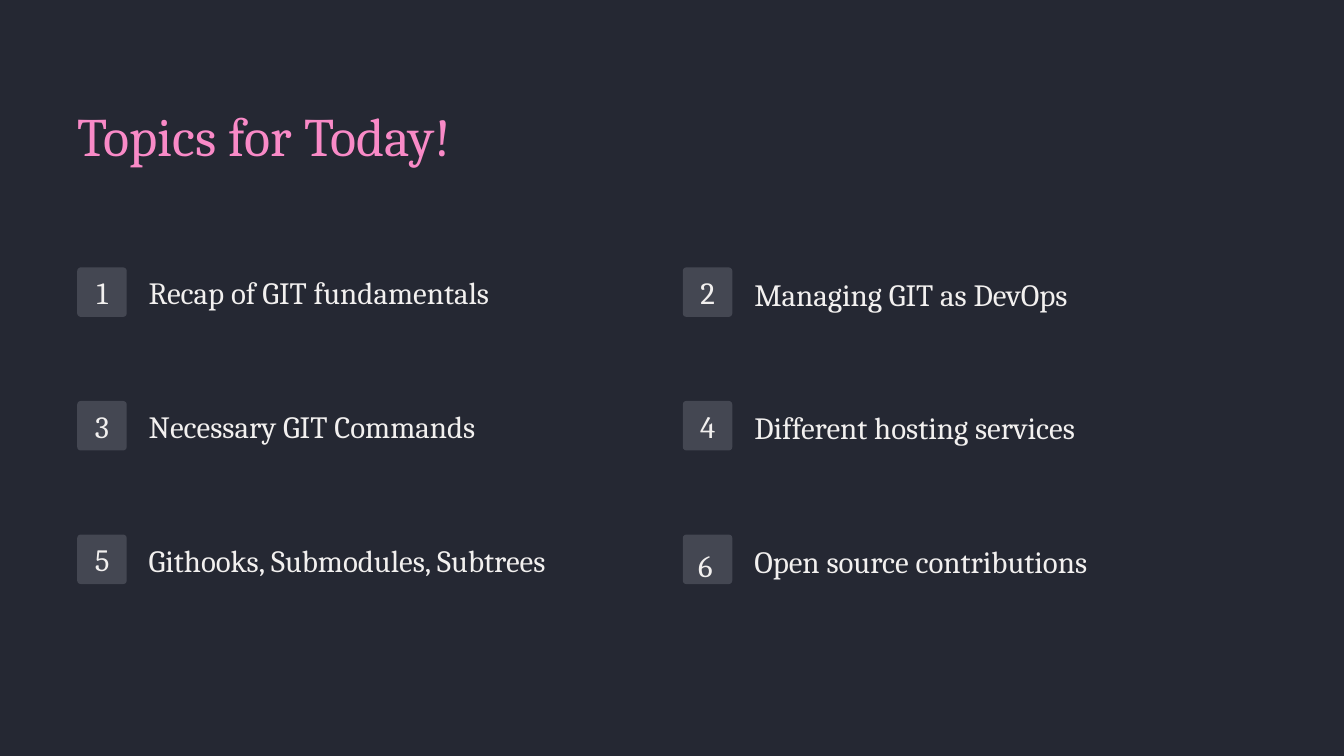
"""Build the numbered agenda slide of a GIT talk."""
from dataclasses import dataclass

from pptx import Presentation
from pptx import util as u
from pptx.dml.color import RGBColor
from pptx.enum import shapes, text
from pptx.util import Cm

NIGHT = RGBColor(0x25, 0x28, 0x33)
SLATE = RGBColor(0x44, 0x47, 0x52)
PINK = RGBColor(0xF9, 0x8A, 0xC7)
CREAM = RGBColor(0xF2, 0xF0, 0xEF)
FONT = "Cambria"
COLUMNS = (2.92, 25.81)
LABEL_RISE = (0.08, 0.03)
FIRST_ROW, ROW_STEP = 10.11, 5.05
TILE = 1.87


@dataclass(frozen=True)
class NumberBox:
    left: float = 0.61
    top: float = 0.61
    width: float = 0.66
    height: float = 0.89


@dataclass(frozen=True)
class Topic:
    label: str
    width: float
    number_box: NumberBox = NumberBox()


TOPICS = (
    Topic("Recap of GIT fundamentals", 16),
    Topic("Managing GIT as DevOps", 15.27),
    Topic("Necessary GIT Commands", 14.94),
    Topic("Different hosting services", 16.21),
    Topic("Githooks, Submodules, Subtrees", 18.44),
    Topic("Open source contributions", 14.68, NumberBox(0.41, 0.66, 0.89, 1.19)),
)


def write(box, words: str, *, size: float, leading: float, color: RGBColor = CREAM,
          align=text.PP_ALIGN.LEFT, anchor=text.MSO_ANCHOR.MIDDLE) -> None:
    frame = box.text_frame
    frame.word_wrap = True
    frame.auto_size = text.MSO_AUTO_SIZE.NONE
    frame.vertical_anchor = anchor
    frame.margin_left = frame.margin_right = frame.margin_top = frame.margin_bottom = 0
    para = frame.paragraphs[0]
    para.alignment = align
    para.line_spacing = u.Pt(leading)
    para.space_before = u.Pt(0)
    span = para.add_run()
    span.text = words
    span.font.name = FONT
    span.font.size = u.Pt(size)
    span.font.color.rgb = color


def draw_topic(page, index: int, topic: Topic) -> None:
    row, column = divmod(index, len(COLUMNS))
    left, top = COLUMNS[column], FIRST_ROW + row * ROW_STEP
    tile = page.shapes.add_shape(shapes.MSO_SHAPE.ROUNDED_RECTANGLE,
                                 Cm(left), Cm(top), Cm(TILE), Cm(TILE))
    tile.adjustments[0] = 0.07
    tile.shadow.inherit = False
    tile.fill.solid()
    tile.fill.fore_color.rgb = SLATE
    tile.line.fill.background()

    place = topic.number_box
    number = page.shapes.add_textbox(Cm(left + place.left), Cm(top + place.top),
                                     Cm(place.width), Cm(place.height))
    write(number, str(index + 1), size=33.1, leading=33.1, align=text.PP_ALIGN.CENTER)

    label = page.shapes.add_textbox(Cm(left + 2.7), Cm(top - LABEL_RISE[column]),
                                    Cm(topic.width), Cm(2.01))
    write(label, topic.label, size=33.1, leading=41.2)


def main() -> None:
    deck = Presentation()
    deck.slide_width, deck.slide_height = Cm(50.8), Cm(28.58)
    page = deck.slides.add_slide(deck.slide_layouts.get_by_name("Title Only"))
    page.background.fill.solid()
    page.background.fill.fore_color.rgb = NIGHT

    title = page.shapes.title
    title.left, title.top, title.width, title.height = Cm(2.92), Cm(3.76), Cm(19.56), Cm(3.63)
    write(title, "Topics for Today!", size=58, leading=72.5, color=PINK,
          anchor=text.MSO_ANCHOR.TOP)

    for index, topic in enumerate(TOPICS):
        draw_topic(page, index, topic)
    deck.save("out.pptx")


if __name__ == "__main__":
    main()
